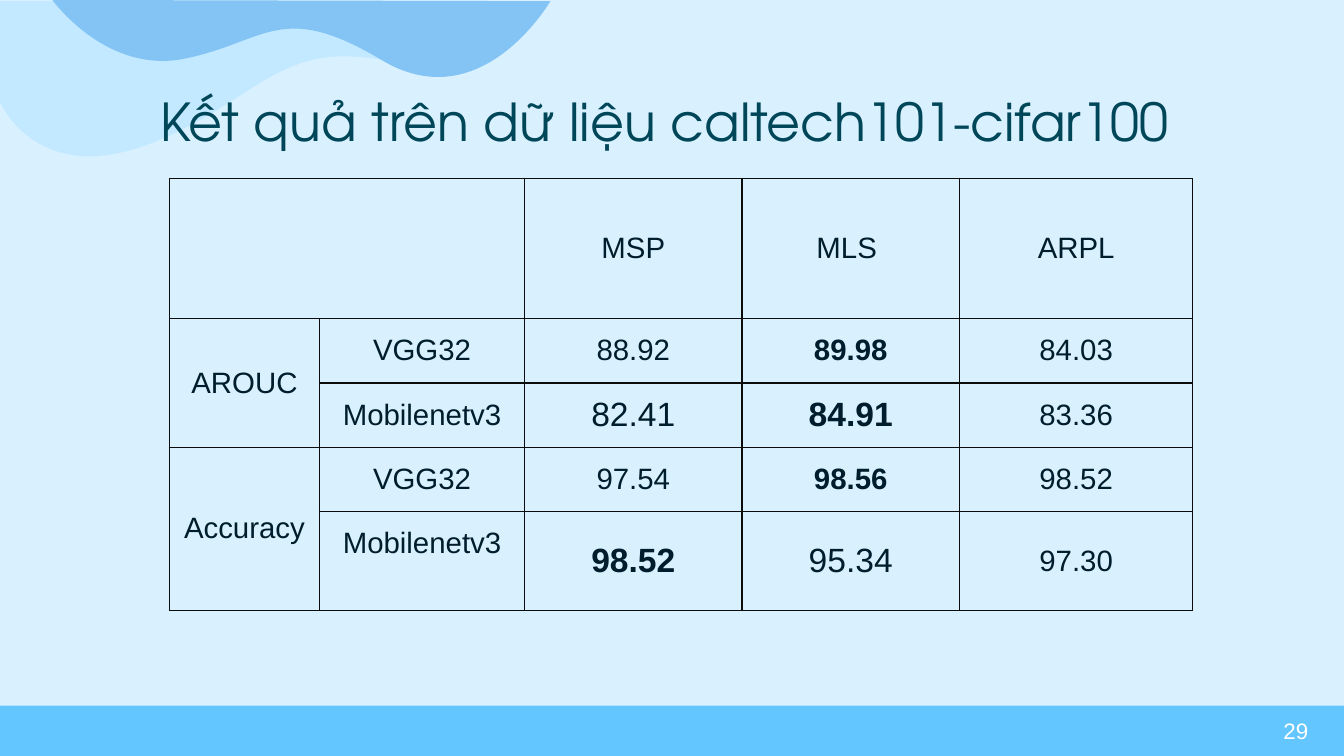
from lxml import etree
from pptx import Presentation, util as u
from pptx.dml.color import RGBColor
from pptx.enum import shapes, text
from pptx.oxml.ns import qn

INK = "001D2D"
BORDER = "0C0C0C"

PALE_WAVE = [
    (0, 2.57),
    (0, 2.57), (0.58, 3.94), (2.26, 3.94),
    (2.64, 3.94), (3.1, 3.86), (3.63, 3.68),
    (6.05, 2.79), (6.78, 1.42), (8.69, 1.42),
    (8.97, 1.42), (9.25, 1.45), (9.58, 1.5),
    (9.86, 1.57), (10.13, 1.57), (10.39, 1.57),
    (12.5, 1.57), (13.69, 0.03), (13.69, 0.03),
    (0, 0.03),
]
BLUE_WAVE = [
    (1.32, 0),
    (1.32, 0), (2.69, 1.91), (4.7, 1.47),
    (6.73, 1.04), (7.09, 0), (9.63, 1.52),
    (12.14, 3.02), (13.87, 0.03), (13.87, 0.03),
]

COLUMN_WIDTHS = [3.78, 5.17, 5.48, 5.48, 5.88]
ROW_HEIGHTS = [3.53, 1.62, 1.62, 1.62, 2.49]
METHODS = ["MSP", "MLS ", "ARPL"]
METRICS = ["AROUC", "Accuracy"]
RESULTS = [
    ("VGG32", ["88.92", "89.98", "84.03"], 1),
    ("Mobilenetv3", ["82.41", "84.91", "83.36"], 1),
    ("VGG32", ["97.54", "98.56", "98.52"], 1),
    ("Mobilenetv3", ["98.52", "95.34", "97.30"], 0),
]


def paint(fill, color):
    fill.solid()
    fill.fore_color.rgb = RGBColor.from_string(color)


def write(frame, wording, size, color, font="Arial", align=text.PP_ALIGN.CENTER, bold=False):
    paragraph = frame.paragraphs[0]
    paragraph.alignment = align
    run = paragraph.add_run()
    run.text = wording
    run.font.name = font
    run.font.size = u.Pt(size)
    run.font.bold = bold
    run.font.color.rgb = RGBColor.from_string(color)


def add_label(slide, box, inset, anchor, *wording, **style):
    frame = slide.shapes.add_textbox(*map(u.Cm, box)).text_frame
    frame.word_wrap = True
    frame.vertical_anchor = anchor
    frame.margin_left = frame.margin_right = u.Cm(0.25)
    frame.margin_top = frame.margin_bottom = u.Cm(inset)
    write(frame, *wording, **style)


def bend(wave):
    edges = list(wave._element.iter(qn("a:lnTo")))
    for i in range(0, len(edges) - 2, 3):
        curve = etree.Element(qn("a:cubicBezTo"))
        edges[i].addprevious(curve)
        for edge in edges[i:i + 3]:
            curve.append(edge[0])
            edge.getparent().remove(edge)


def add_waves(slide, left, top):
    for (start, *points), color in ((PALE_WAVE, "C2E9FF"), (BLUE_WAVE, "84C4F4")):
        outline = slide.shapes.build_freeform(*map(u.Cm, start))
        outline.add_line_segments([(u.Cm(x), u.Cm(y)) for x, y in points], close=True)
        wave = outline.convert_to_shape(u.Cm(left), u.Cm(top))
        bend(wave)
        wave.shadow.inherit = False
        paint(wave.fill, color)
        wave.line.fill.background()


def add_footer(slide, left, top, width, height):
    band = slide.shapes.add_shape(
        shapes.MSO_SHAPE.RECTANGLE, *map(u.Cm, (left, top, width, height)))
    band.shadow.inherit = False
    paint(band.fill, "63C6FF")
    band.line.fill.background()
    number_width = 7.62
    add_label(slide, (left + width - number_width - 0.65, top + 0.13, number_width, 1.02),
              0.13, text.MSO_ANCHOR.MIDDLE, "29", 16, "FFFFFF", align=text.PP_ALIGN.RIGHT)


def add_title(slide, *box):
    add_label(slide, box, 0.25, text.MSO_ANCHOR.TOP,
              "Kết quả trên dữ liệu caltech101-cifar100 ", 37.3, "004659",
              font="TeX Gyre Adventor")


def style_cell(cell, inset):
    cell.vertical_anchor = text.MSO_ANCHOR.MIDDLE
    cell.margin_left = cell.margin_right = u.Cm(0.33)
    cell.margin_top = cell.margin_bottom = u.Cm(inset)
    properties = cell._tc.get_or_add_tcPr()
    for side in ("lnL", "lnR", "lnT", "lnB"):
        edge = etree.SubElement(properties, qn(f"a:{side}"), w=str(u.Pt(1)))
        solid = etree.SubElement(edge, qn("a:solidFill"))
        etree.SubElement(solid, qn("a:srgbClr"), val=BORDER)
    cell.fill.background()


def add_results(slide, left, top):
    table = slide.shapes.add_table(
        len(ROW_HEIGHTS), len(COLUMN_WIDTHS), u.Cm(left), u.Cm(top),
        u.Cm(sum(COLUMN_WIDTHS)), u.Cm(sum(ROW_HEIGHTS))).table
    table.first_row = table.horz_banding = False
    for column, width in zip(table.columns, COLUMN_WIDTHS):
        column.width = u.Cm(width)
    for row, height in zip(table.rows, ROW_HEIGHTS):
        row.height = u.Cm(height)
    for r in range(len(ROW_HEIGHTS)):
        for c in range(len(COLUMN_WIDTHS)):
            style_cell(table.cell(r, c), 0.25 if r and c > 1 else 0.33)

    table.cell(0, 0).merge(table.cell(0, 1))
    for c, method in enumerate(METHODS, 2):
        write(table.cell(0, c).text_frame, method, 21, INK)
    for i, metric in enumerate(METRICS):
        first = 1 + 2 * i
        table.cell(first, 0).merge(table.cell(first + 1, 0))
        write(table.cell(first, 0).text_frame, metric, 21, INK)
    for r, (network, scores, best) in enumerate(RESULTS, 1):
        write(table.cell(r, 1).text_frame, network, 21, INK)
        for i, score in enumerate(scores):
            size = 24 if network == "Mobilenetv3" and i < 2 else 21
            write(table.cell(r, i + 2).text_frame, score, size, INK, bold=i == best)
    table.cell(len(RESULTS), 1).margin_bottom = u.Cm(1.24)


def main():
    deck = Presentation()
    deck.slide_width, deck.slide_height = u.Cm(33.87), u.Cm(19.05)
    slide = deck.slides.add_slide(deck.slide_layouts[6])
    paint(slide.background.fill, "D9F1FF")
    add_waves(slide, 0, 0)
    add_footer(slide, 0, 17.78, 33.87, 1.27)
    add_title(slide, 2.67, 2.01, 28.52, 2.51)
    add_results(slide, 4.27, 4.5)
    deck.save("out.pptx")


if __name__ == "__main__":
    main()
